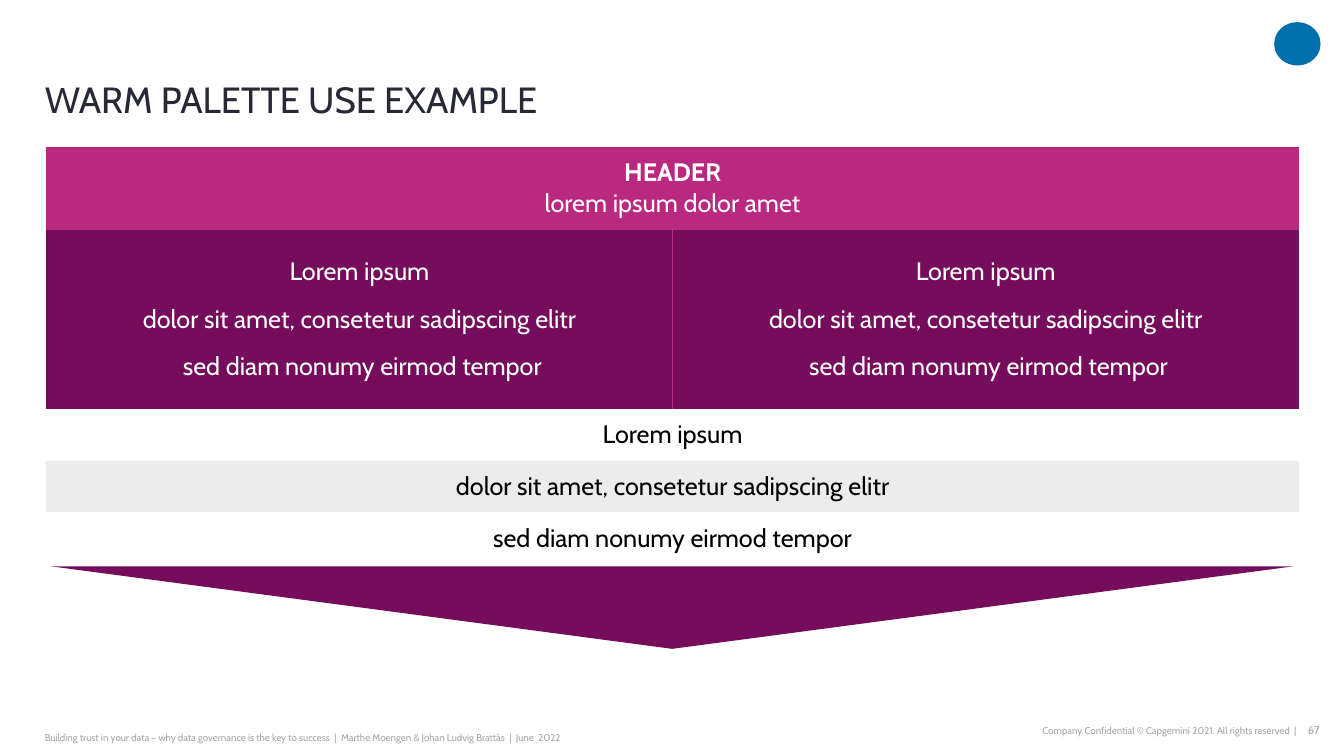
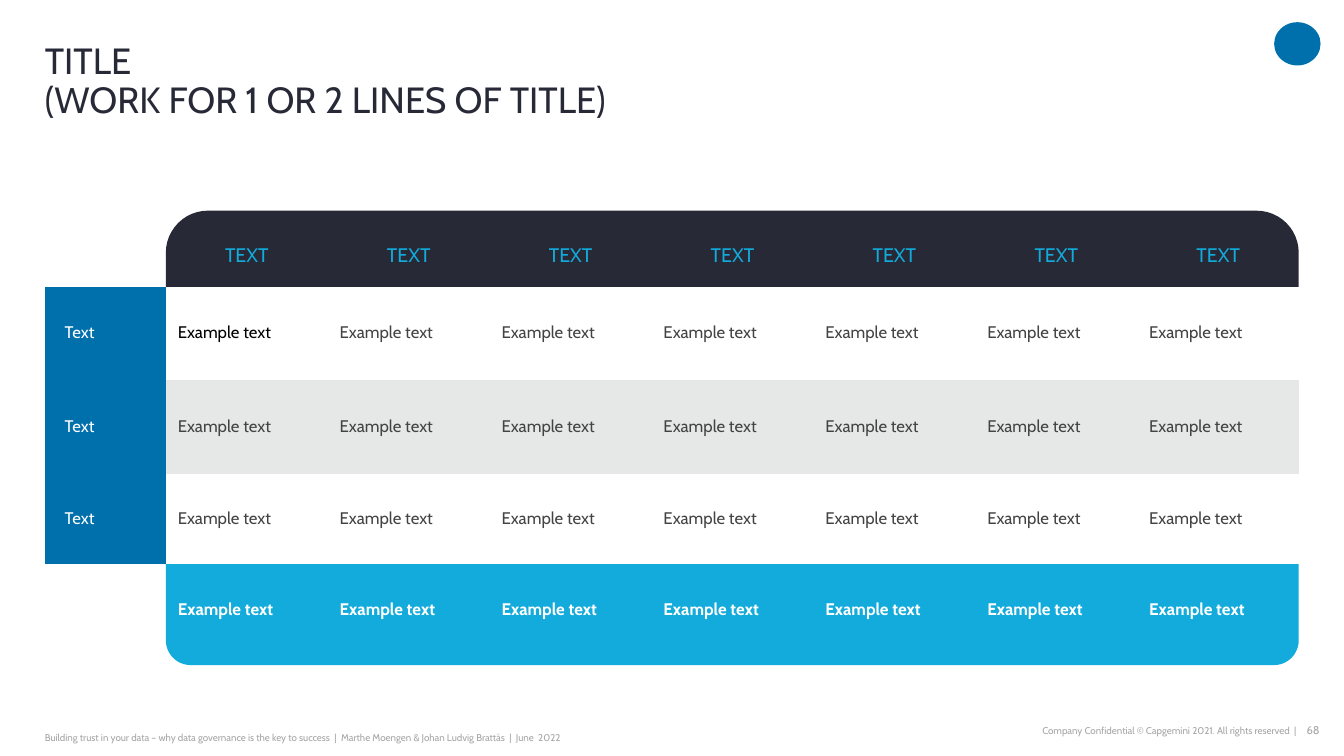
"""Build two palette example slides: a stacked message table and a grid table."""
from lxml import etree
from pptx import Presentation
from pptx.dml.color import RGBColor
from pptx.enum import shapes, text
from pptx.oxml import ns
from pptx.util import Cm, Pt

FONT = "Cabin"
INK = RGBColor(0x27, 0x29, 0x36)
BLUE = RGBColor(0x00, 0x70, 0xAD)
SKY = RGBColor(0x12, 0xAB, 0xDB)
PINK = RGBColor(0xBA, 0x29, 0x80)
PLUM = RGBColor(0x75, 0x0D, 0x5C)
MIST = RGBColor(0xEC, 0xEC, 0xEC)
BAND = RGBColor(0xE6, 0xE7, 0xE7)
TEXT = RGBColor(0x43, 0x43, 0x43)
MUTED = RGBColor(0xA6, 0xA6, 0xA6)
WHITE = RGBColor(0xFF, 0xFF, 0xFF)
BLACK = RGBColor(0x00, 0x00, 0x00)

LEFT, MID, RIGHT = text.PP_ALIGN.LEFT, text.PP_ALIGN.CENTER, text.PP_ALIGN.RIGHT
TOP, CENTER, BASE = text.MSO_ANCHOR.TOP, text.MSO_ANCHOR.MIDDLE, text.MSO_ANCHOR.BOTTOM
PLAIN = "{2D5ABB26-0587-4C30-8999-92F81FD0307C}"

FOOTER = ("Building trust in your data – why data governance is the key to success  |  "
          "Marthe Moengen & Johan Ludvig Brattås  |  June  2022")
RIGHTS = "Company Confidential © Capgemini 2021. All rights reserved  |"
LINES = ["Lorem ipsum", "dolor sit amet, consetetur sadipscing elitr",
         "sed diam nonumy eirmod tempor"]


def style(frame, size, color, align=LEFT, bold=False, line=None, gap=None):
    for para in frame.paragraphs:
        para.alignment = align
        para.line_spacing = line
        para.space_after = gap
        for run in para.runs:
            font = run.font
            font.name, font.size, font.bold = FONT, Pt(size), bold
            font.color.rgb = color


def label(slide, box, words, size, color, align=LEFT, anchor=CENTER, line=None, pad=0):
    frame = slide.shapes.add_textbox(*map(Cm, box)).text_frame
    frame.word_wrap = True
    frame.margin_left = frame.margin_right = 0
    frame.margin_top = frame.margin_bottom = Cm(pad)
    frame.vertical_anchor = anchor
    frame.text = words
    style(frame, size, color, align, line=line)


def block(slide, kind, box, fill):
    shape = slide.shapes.add_shape(kind, *map(Cm, box))
    shape.shadow.inherit = False
    shape.fill.solid()
    shape.fill.fore_color.rgb = fill
    shape.line.fill.background()
    return shape


def grid(slide, left, top, cols, rows):
    size = map(Cm, (left, top, sum(cols), sum(rows)))
    table = slide.shapes.add_table(len(rows), len(cols), *size).table
    table.first_row = table.horz_banding = False
    table._tbl.tblPr.find(ns.qn("a:tableStyleId")).text = PLAIN
    for col, width in zip(table.columns, cols):
        col.width = Cm(width)
    for row, height in zip(table.rows, rows):
        row.height = Cm(height)
    return table


def fill_cell(cell, words, fill, size, color, **look):
    cell.vertical_anchor = CENTER
    if fill is None:
        cell.fill.background()
    else:
        cell.fill.solid()
        cell.fill.fore_color.rgb = fill
    cell.text_frame.text = words
    style(cell.text_frame, size, color, **look)


def edge(cell, side, color):
    line = etree.Element(ns.qn(f"a:ln{side}"), w=str(Pt(1)))
    solid = etree.SubElement(line, ns.qn("a:solidFill"))
    etree.SubElement(solid, ns.qn("a:srgbClr"), val=str(color))
    cell._tc.get_or_add_tcPr().insert(0, line)


def new_slide(deck, title, number):
    slide = deck.slides.add_slide(deck.slide_layouts[6])
    block(slide, shapes.MSO_SHAPE.OVAL, (32.11, 0.56, 1.17, 1.09), BLUE)
    label(slide, (1.13, 18.11, 15.42, 0.94), FOOTER, 7, MUTED)
    label(slide, (32.62, 18.1, 0.64, 0.61), str(number), 8, MUTED, RIGHT, TOP, pad=0.13)
    label(slide, (20.07, 18.1, 12.6, 0.61), RIGHTS, 7, MUTED, RIGHT)
    label(slide, (1.13, 1.08, 30.4, 1.98), title, 26, INK, anchor=BASE, line=0.9)
    return slide


def warm(deck):
    slide = new_slide(deck, "WARM PALETTE USE EXAMPLE", 67)
    table = grid(slide, 1.17, 3.7, [15.78] * 2, [2.09, 4.52] + [1.3] * 3)
    for row in (0, 2, 3, 4):
        table.cell(row, 0).merge(table.cell(row, 1))
    head = table.cell(0, 0)
    fill_cell(head, "HEADER\vlorem ipsum dolor amet", PINK, 18, WHITE, align=MID)
    head.text_frame.paragraphs[0].runs[0].font.bold = True
    first, second, third = LINES
    for col, side in enumerate("RL"):
        cell = table.cell(1, col)
        fill_cell(cell, f"{first}\n{second}\n {third}", PLUM, 18, WHITE, align=MID, gap=Pt(12))
        edge(cell, side, PINK)
    for row, (words, fill) in enumerate(zip(LINES, (WHITE, MIST, WHITE)), 2):
        fill_cell(table.cell(row, 0), words, fill, 18, BLACK, align=MID, gap=Pt(12))
    arrow = block(slide, shapes.MSO_SHAPE.ISOSCELES_TRIANGLE, (1.28, 14.27, 31.32, 2.08), PLUM)
    arrow.rotation = 180


def matrix(deck):
    slide = new_slide(deck, "TITLE\v(WORK FOR 1 OR 2 LINES OF TITLE)", 68)
    for top, fill, bend in ((13.64, SKY, 0.2), (5.31, INK, 0.34)):
        cap = block(slide, shapes.MSO_SHAPE.ROUNDED_RECTANGLE, (4.18, top, 28.55, 3.12), fill)
        cap.adjustments[0] = bend
    table = grid(slide, 1.13, 5.75, [3.05] + [4.08] * 7, [1.47, 2.36, 2.36, 2.27, 2.34])
    looks = [("TEXT", None, 14, SKY, MID, False)]
    looks += [("Example text", fill, 12, TEXT, LEFT, False) for fill in (WHITE, BAND, WHITE)]
    looks += [("Example text", None, 12, WHITE, LEFT, True)]
    for row, (words, fill, size, color, align, bold) in enumerate(looks):
        for col in range(8):
            cell = table.cell(row, col)
            cell.margin_left = Cm(0.3 if col else 0.5)
            cell.margin_right = Cm(0.3)
            cell.margin_top = cell.margin_bottom = 0
            if col:
                tint = BLACK if (row, col) == (1, 1) else color
                fill_cell(cell, words, fill, size, tint, align=align, bold=bold, line=Pt(14))
            elif fill is not None:
                fill_cell(cell, "Text", BLUE, 12, WHITE, line=Pt(14))
            else:
                cell.fill.background()


def main():
    deck = Presentation()
    deck.slide_width, deck.slide_height = Cm(33.87), Cm(19.05)
    warm(deck)
    matrix(deck)
    deck.save("out.pptx")


if __name__ == "__main__":
    main()
